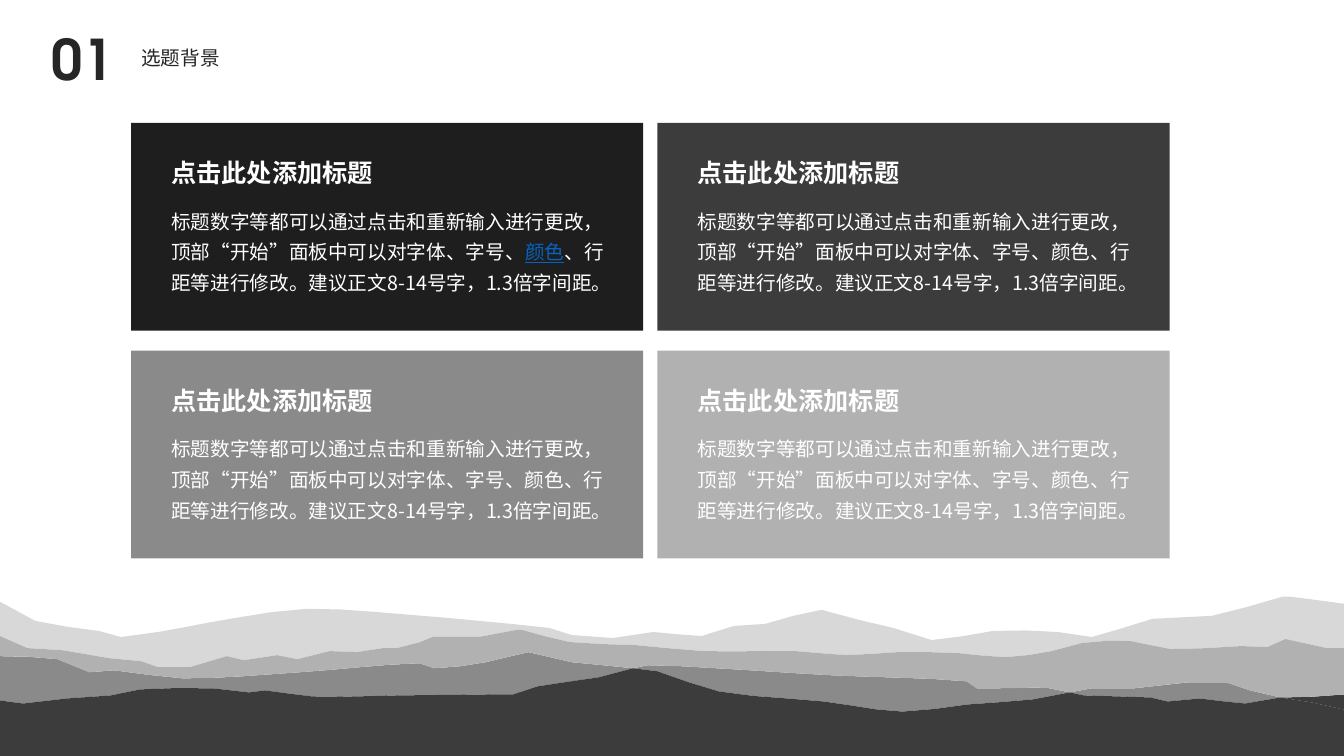
import math

import pptx
import pptx.dml.color
import pptx.enum.shapes
import pptx.enum.text
import pptx.oxml.ns
import pptx.util
from pptx.dml.color import RGBColor
from pptx.util import Inches

INK = RGBColor(0x26, 0x26, 0x26)
WHITE = RGBColor(0xFF, 0xFF, 0xFF)
ACCENT = RGBColor(0x05, 0x63, 0xC1)
BLACK = RGBColor(0x1E, 0x1E, 0x1E)
CHARCOAL = RGBColor(0x3C, 0x3C, 0x3C)
GRAY = RGBColor(0x8A, 0x8A, 0x8A)
SILVER = RGBColor(0xB1, 0xB1, 0xB1)
MIST = RGBColor(0xD8, 0xD8, 0xD8)

LATIN, CJK = "TeX Gyre Adventor", "Noto Sans CJK SC"
WIDTH, HEIGHT = 13.33, 7.5

SECTION_NUMBER, SECTION_TITLE = "01", "选题背景"
CARD_HEADING = "点击此处添加标题"
BODY_START = "标题数字等都可以通过点击和重新输入进行更改，顶部“开始”面板中可以对字体、字号、"
BODY_KEYWORD = "颜色"
BODY_END = "、行距等进行修改。建议正文8-14号字，1.3倍字间距。"
CARDS = [(BLACK, ACCENT), (CHARCOAL, WHITE), (GRAY, WHITE), (SILVER, WHITE)]  # fill, keyword
CARD_LEFT, CARD_TOP, CARD_WIDTH, CARD_HEIGHT = 1.3, 1.22, 5.08, 2.06
COLUMN_GAP, ROW_GAP = 0.14, 0.2

NUMBER_FORMAT = {"size": pptx.util.Pt(40), "bold": True, "name": LATIN}
TITLE_FORMAT = {"size": pptx.util.Pt(14), "bold": False, "name": LATIN}
HEADING_FORMAT = {"size": pptx.util.Pt(18), "bold": True, "name": LATIN}
BODY_FORMAT = {"size": pptx.util.Pt(14), "bold": False, "name": CJK}
SECTION_SPACING = {"line_spacing": 0.9, "space_before": pptx.util.Pt(10),
                   "alignment": pptx.enum.text.PP_ALIGN.LEFT}
CARD_SPACING = {"line_spacing": 1.3}

# Ridge lines from left to right, farthest first.
FAR_RIDGE = [
    (0, 5.97), (0.35, 6.16), (0.98, 6.26), (1.2, 6.32), (1.57, 6.27), (2.34, 6.13),
    (3.05, 6.04), (4.07, 6.1), (5.07, 6.19), (5.45, 6.23), (5.67, 6.3),
    (6.08, 6.33), (6.48, 6.27), (6.96, 6.31), (7.28, 6.21), (7.59, 6.19), (8.15, 6.05),
    (8.52, 6.15), (8.86, 6.23), (9.24, 6.35), (9.85, 6.26), (10.49, 6.27), (10.83, 6.32),
    (11.43, 6.14), (12.02, 6.11), (12.72, 5.92), (12.8, 5.92), (13.33, 5.99)]
MIDDLE_RIDGE = [
    (0, 6.31), (0.27, 6.43), (0.61, 6.45), (1.08, 6.53), (1.4, 6.56), (1.57, 6.62),
    (1.88, 6.62), (2.05, 6.57), (2.25, 6.51), (2.42, 6.55), (2.75, 6.5), (2.95, 6.54),
    (3.27, 6.46), (3.54, 6.47), (3.8, 6.43), (3.94, 6.43), (4.17, 6.37), (4.29, 6.32),
    (4.75, 6.32), (5.12, 6.25), (5.18, 6.25), (5.65, 6.37), (6.3, 6.4), (6.98, 6.46),
    (7.89, 6.46), (8.4, 6.5), (8.91, 6.47), (9.51, 6.48), (9.97, 6.52), (10.43, 6.46),
    (10.73, 6.38), (11.21, 6.36), (11.61, 6.44), (12.31, 6.41), (12.57, 6.42),
    (12.75, 6.34), (13.16, 6.43), (13.33, 6.43)]
NEAR_RIDGE = [
    (0, 6.51), (0.57, 6.54), (0.89, 6.67), (1.13, 6.65), (1.81, 6.73), (2.97, 6.67),
    (4.16, 6.58), (4.31, 6.63), (4.82, 6.57), (5.24, 6.47), (5.67, 6.57), (6.08, 6.61),
    (6.28, 6.63), (6.43, 6.6), (7.1, 6.63), (8.25, 6.7), (9.59, 6.76), (9.69, 6.83),
    (10.36, 6.82), (10.61, 6.87), (10.82, 6.83), (11.24, 6.83), (11.78, 6.77),
    (12.16, 6.77), (12.4, 6.85), (12.7, 6.92), (13.33, 6.89)]
FRONT_RIDGE = [
    (0, 6.95), (0.23, 6.98), (0.66, 6.93), (1.1, 6.9), (1.39, 6.84), (2.12, 6.83),
    (2.47, 6.87), (2.63, 6.85), (3.1, 6.91), (3.95, 6.9), (4.87, 6.89),
    (5.09, 6.89), (5.33, 6.81), (5.94, 6.72), (6.28, 6.63), (6.52, 6.66), (7.13, 6.86),
    (8.17, 6.96), (8.95, 7.06), (9.59, 6.99), (10.24, 6.94), (10.61, 6.87), (10.75, 6.9),
    (11.41, 6.92), (11.58, 6.96), (11.9, 6.93), (12.35, 6.98), (12.7, 6.92), (13.33, 7.04)]
CROSSINGS = [(0, 6.28, GRAY), (6.28, 10.61, GRAY), (10.61, 12.7, GRAY), (12.7, WIDTH, CHARCOAL)]


def smooth(ridge, spacing=0.3):
    """Return points of a smooth curve through the ridge's anchors."""
    headings = []
    for i in range(len(ridge)):
        (x0, y0), (x1, y1) = ridge[max(i - 1, 0)], ridge[min(i + 1, len(ridge) - 1)]
        span = math.hypot(x1 - x0, y1 - y0)
        headings.append(((x1 - x0) / span, (y1 - y0) / span))
    curve = [ridge[0]]
    for start, end, leave, arrive in zip(ridge, ridge[1:], headings, headings[1:]):
        length = math.dist(start, end)
        reach, steps = length / 3, max(1, round(length / spacing))
        for step in range(1, steps):
            t = step / steps
            curve.append(tuple(
                (1 - t) ** 3 * a + 3 * t * (1 - t) ** 2 * (a + reach * u)
                + 3 * t * t * (1 - t) * (b - reach * v) + t ** 3 * b
                for a, b, u, v in zip(start, end, leave, arrive)))
        curve.append(end)
    return curve


def stretch(curve, left, right):
    """Return the part of a curve between two x positions."""
    return [point for point in curve if left <= point[0] <= right]


def paint(shape, color):
    """Give a shape a plain fill without line or shadow."""
    shape.fill.solid()
    shape.fill.fore_color.rgb = color
    shape.line.fill.background()
    shape.shadow.inherit = False


def add_band(shapes, upper, lower, color):
    """Fill the area between two ridge curves."""
    outline = [(Inches(x), Inches(y)) for x, y in upper + lower[::-1]]
    builder = shapes.build_freeform(*outline[0])
    builder.add_line_segments(outline[1:], close=True)
    paint(builder.convert_to_shape(), color)


def write(frame, pieces, font_format, spacing):
    """Write (text, colour) pieces as one paragraph; accented pieces are underlined."""
    paragraph = frame.paragraphs[0]
    for key, value in spacing.items():
        setattr(paragraph, key, value)
    for text, color in pieces:
        run = paragraph.add_run()
        run.text = text
        for key, value in font_format.items():
            setattr(run.font, key, value)
        run.font.color.rgb = color
        if color == ACCENT:
            run.font.underline = True
        properties = run.font._element
        east_asian = properties.makeelement(pptx.oxml.ns.qn("a:ea"), {"typeface": CJK})
        properties.find(pptx.oxml.ns.qn("a:latin")).addnext(east_asian)


def add_text(shapes, place, pieces, font_format, spacing, wrap=True, grow=False):
    """Add a text box at (left, top, width, height)."""
    frame = shapes.add_textbox(*map(Inches, place)).text_frame
    frame.word_wrap = wrap
    if grow:
        frame.auto_size = pptx.enum.text.MSO_AUTO_SIZE.SHAPE_TO_FIT_TEXT
    write(frame, pieces, font_format, spacing)


def add_card(slide, index, color, keyword_color):
    """Add one card of the two-column grid."""
    row, column = divmod(index, 2)
    left = CARD_LEFT + column * (CARD_WIDTH + COLUMN_GAP)
    top = CARD_TOP + row * (CARD_HEIGHT + ROW_GAP)
    card = slide.shapes.add_group_shape().shapes
    panel = card.add_shape(pptx.enum.shapes.MSO_SHAPE.RECTANGLE,
                           *map(Inches, (left, top, CARD_WIDTH, CARD_HEIGHT)))
    paint(panel, color)
    if keyword_color == WHITE:
        body = [(BODY_START + BODY_KEYWORD + BODY_END, WHITE)]
    else:
        body = [(BODY_START, WHITE), (BODY_KEYWORD, keyword_color), (BODY_END, WHITE)]
    add_text(card, (left + 0.3, top + 0.74, 4.62, 1.02), body,
             BODY_FORMAT, CARD_SPACING, grow=True)
    add_text(card, (left + 0.3, top + 0.2, 2.22, 0.49), [(CARD_HEADING, WHITE)],
             HEADING_FORMAT, CARD_SPACING, wrap=False, grow=True)


deck = pptx.Presentation()
deck.slide_width, deck.slide_height = Inches(WIDTH), Inches(HEIGHT)
slide = deck.slides.add_slide(deck.slide_layouts[5])

far, middle, near, front = map(smooth, (FAR_RIDGE, MIDDLE_RIDGE, NEAR_RIDGE, FRONT_RIDGE))
mountains = slide.shapes.add_group_shape().shapes
add_band(mountains, far, middle, MIST)
for left, right, color in CROSSINGS:
    add_band(mountains, stretch(near, left, right), stretch(front, left, right), color)
add_band(mountains, middle, near, SILVER)
add_band(mountains, front, [(0, HEIGHT), (WIDTH, HEIGHT)], CHARCOAL)

add_text(slide.shapes, (0.41, 0.27, 0.88, 0.64), [(SECTION_NUMBER, INK)],
         NUMBER_FORMAT, SECTION_SPACING)
title = slide.shapes.title
title.left, title.top, title.width, title.height = map(Inches, (1.3, 0.4, 2.04, 0.37))
title.text_frame.vertical_anchor = pptx.enum.text.MSO_ANCHOR.MIDDLE
write(title.text_frame, [(SECTION_TITLE, INK)], TITLE_FORMAT, SECTION_SPACING)

for index, (color, keyword_color) in enumerate(CARDS):
    add_card(slide, index, color, keyword_color)

deck.save("out.pptx")
